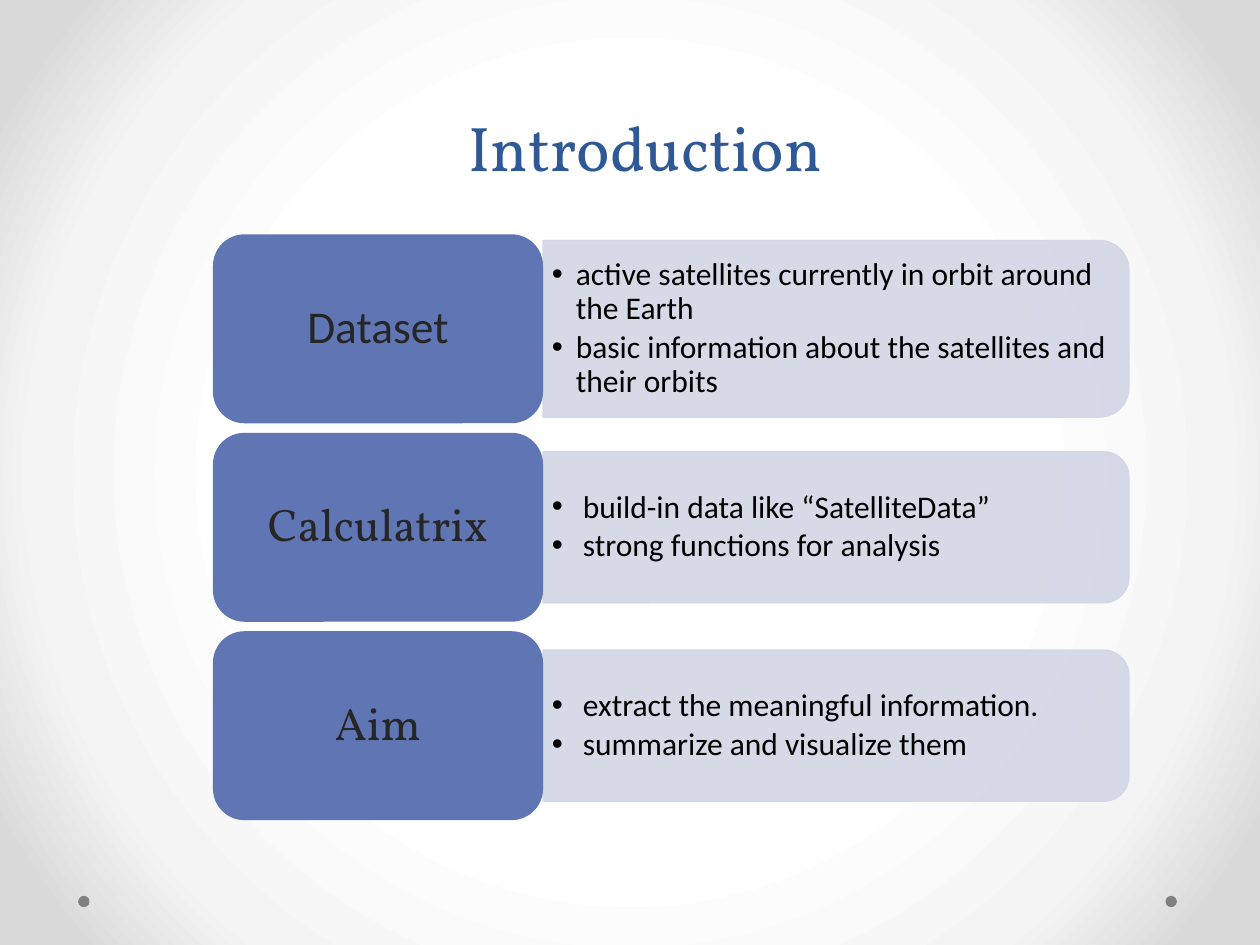
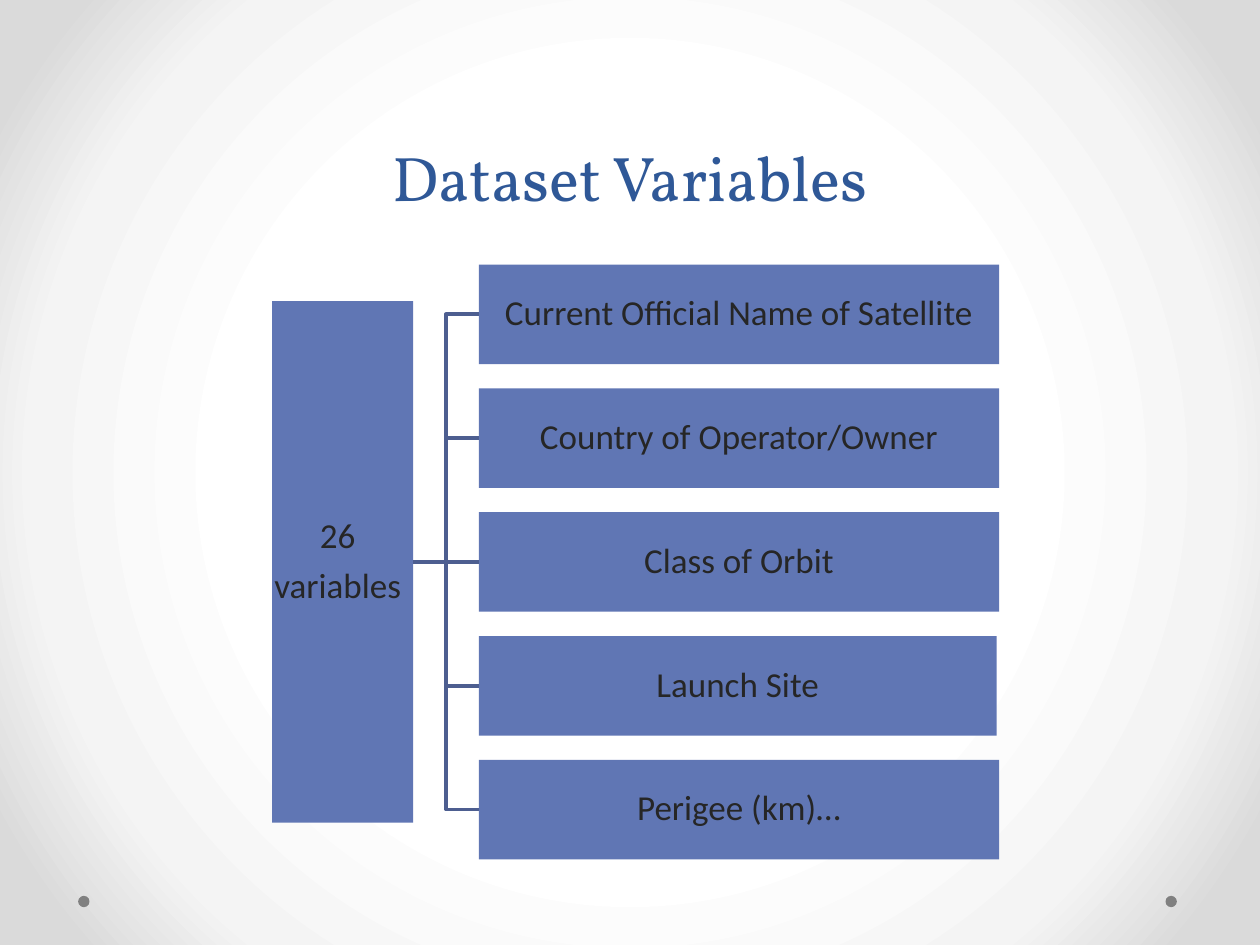
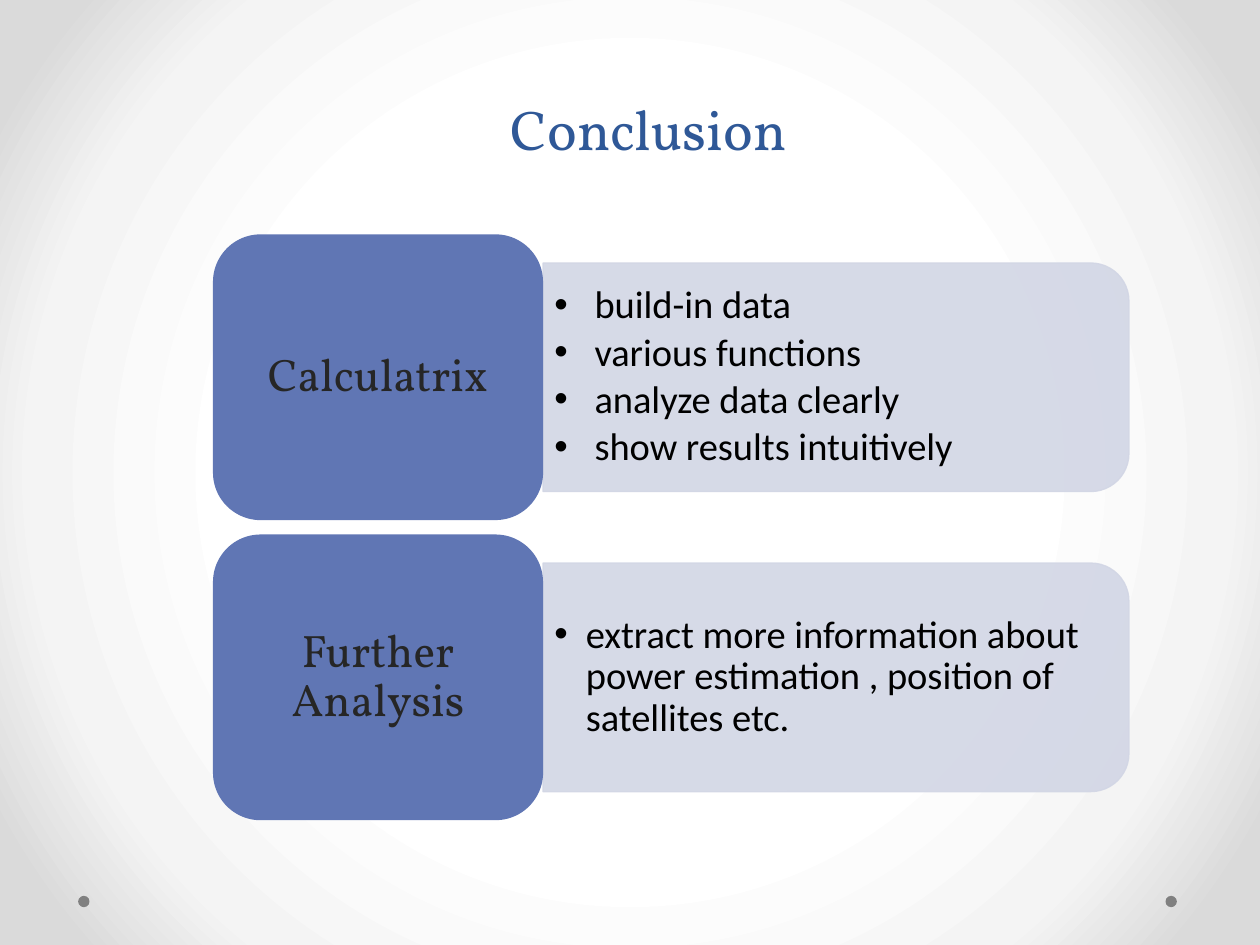
from dataclasses import dataclass

from lxml import etree
from pptx import Presentation
from pptx.dml.color import RGBColor
from pptx.enum.shapes import MSO_CONNECTOR, MSO_SHAPE
from pptx.enum.text import MSO_ANCHOR, PP_ALIGN
from pptx.oxml import parse_xml
from pptx.oxml.ns import nsdecls, qn
from pptx.util import Inches, Pt

RECT = MSO_SHAPE.RECTANGLE
ROUND = MSO_SHAPE.ROUNDED_RECTANGLE
TAB = MSO_SHAPE.ROUND_2_SAME_RECTANGLE
OVAL = MSO_SHAPE.OVAL
STRAIGHT = MSO_CONNECTOR.STRAIGHT
ELBOW = MSO_CONNECTOR.ELBOW
MIDDLE = MSO_ANCHOR.MIDDLE
BOTTOM = MSO_ANCHOR.BOTTOM
CENTER = PP_ALIGN.CENTER
LEFT = PP_ALIGN.LEFT


@dataclass(frozen=True)
class Theme:
    title: str = "2F5897"
    block: str = "6076B4"
    panel: str = "D2D6E5"
    link: str = "4D5E90"
    dot: str = "808080"
    dark: str = "262626"
    black: str = "000000"
    glow: tuple = ((50, "FFFFFF"), (76, "F4F4F4"), (92, "DADADA"))
    serif: str = "Vollkorn"
    sans: str = "Calibri"
    head: int = 36
    label: int = 26
    node: int = 20


T = Theme()
TOP = 1.86
SPAN = 4.65
SIDE = 1.69
EDGE = 4.31
GAP = 0.05
CORNER = 0.0488


def rgb(code):
    return RGBColor.from_string(code)


def place(*box):
    return [Inches(n) for n in box]


def backdrop(master):
    master.background.fill.solid()
    stops = "".join(
        f'<a:gs pos="{pos * 1000}"><a:srgbClr val="{code}"/></a:gs>'
        for pos, code in T.glow)
    grad = parse_xml(
        f'<a:gradFill {nsdecls("a")} rotWithShape="1"><a:gsLst>{stops}</a:gsLst>'
        '<a:path path="circle"><a:fillToRect l="50000" t="50000" r="50000" b="50000"/>'
        '</a:path></a:gradFill>')
    back = master.element.find(".//" + qn("p:bgPr"))
    back.replace(back.find(qn("a:solidFill")), grad)


def bullet(para, indent):
    props = para._p.get_or_add_pPr()
    props.set("marL", str(Inches(indent)))
    props.set("indent", str(-Inches(indent)))
    etree.SubElement(props, qn("a:buFont")).set("typeface", "Arial")
    etree.SubElement(props, qn("a:buChar")).set("char", "•")


def write(shape, text, size=T.label, font=T.sans, color=T.dark, align=CENTER,
          anchor=MIDDLE, inset=(0.11, 0.05, 0.11, 0.05), lead=0.9, after=0.35,
          indent=None):
    frame = shape.text_frame
    frame.word_wrap = True
    frame.vertical_anchor = anchor
    (frame.margin_left, frame.margin_top,
     frame.margin_right, frame.margin_bottom) = place(*inset)
    for i, line in enumerate(text.split("\n")):
        para = frame.add_paragraph() if i else frame.paragraphs[0]
        para.alignment = align
        para.line_spacing = lead
        para.space_after = Pt(round(size * after, 1))
        if indent:
            bullet(para, indent)
        run = para.add_run()
        run.text = line
        run.font.size = Pt(size)
        run.font.name = font
        run.font.color.rgb = rgb(color)


def block(slide, kind, box, fill=T.block):
    shape = slide.shapes.add_shape(kind, *place(*box))
    shape.shadow.inherit = False
    shape.fill.solid()
    shape.fill.fore_color.rgb = rgb(fill)
    shape.line.fill.background()
    return shape


def start(deck, title, box, size=T.head):
    slide = deck.slides.add_slide(deck.slide_layouts[6])
    for left in (9.25, 0.62):
        block(slide, OVAL, (left, 7.11, 0.09, 0.09), T.dot)
    write(slide.shapes.add_textbox(*place(*box)), title, size=size, font=T.serif,
          color=T.title, anchor=BOTTOM, inset=(0.1, 0.05, 0.1, 0.05),
          lead=Pt(58), after=0)
    return slide


def panel(slide, mid, high, text, size, pad, indent):
    wide = SPAN
    shape = block(slide, TAB, (EDGE + (wide - high) / 2, mid - wide / 2, high, wide),
                  T.panel)
    shape.rotation = 90
    shape.line.color.rgb = rgb(T.panel)
    shape.line.width = Pt(0.75)
    for color in shape.element.spPr.iter(qn("a:srgbClr")):
        etree.SubElement(color, qn("a:alpha")).set("val", "90000")
    trim = high * CORNER
    area = (EDGE, mid - high / 2 + trim, wide - trim, high - 2 * trim)
    write(slide.shapes.add_textbox(*place(*area)), text, size=size, color=T.black,
          align=LEFT, inset=pad * 2, after=0.15, indent=indent)


def rows(slide, items, size, pad, indent):
    count = len(items)
    high = SPAN / (count + GAP * (count - 1))
    for i, (label, font, part, text) in enumerate(items):
        top = TOP + i * high * (1 + GAP)
        panel(slide, top + high / 2, high * part, text, size, pad, indent)
        write(block(slide, ROUND, (SIDE, top, EDGE - SIDE, high)), label, font=font)


def link(slide, kind, root, node):
    line = slide.shapes.add_connector(kind, 0, 0, 0, 0)
    line.begin_connect(root, 3)
    line.end_connect(node, 1)
    line.line.color.rgb = rgb(T.link)
    line.line.width = Pt(2.08)
    etree.SubElement(line.element.spPr, qn("a:effectLst"))


def tree(slide, name, nodes):
    root = block(slide, RECT, (2.16, 2.39, 1.12, 4.14))
    write(root, name, size=T.node, inset=(0, 0.01, 0.08, 0.01))
    for i, (text, wide) in enumerate(nodes):
        node = block(slide, RECT, (3.8, 2.1 + i * 3.93 / 4, wide, 0.79))
        write(node, text, size=T.node, inset=(0.01,) * 4)
        link(slide, STRAIGHT if i == len(nodes) // 2 else ELBOW, root, node)


def main():
    deck = Presentation()
    deck.slide_width, deck.slide_height = place(10, 7.5)
    backdrop(deck.slide_master)

    intro = start(deck, "Introduction", (1.14, 0.68, 7.96, 0.83))
    rows(intro, [
        ("Dataset", T.sans, 0.935,
         "active satellites currently in orbit around the Earth\n"
         "basic information about the satellites and their orbits"),
        ("Calculatrix", T.serif, 0.8,
         " build-in data like “SatelliteData”\n strong functions for analysis"),
        ("Aim", T.serif, 0.8,
         " extract the meaningful information.\n summarize and visualize them"),
    ], size=18, pad=(0.07, 0.04), indent=0.19)

    fields = start(deck, "Dataset Variables", (0.5, 0, 9, 1.75))
    tree(fields, "26\nvariables", [
        ("Current Official Name of Satellite", 4.13),
        ("Country of Operator/Owner", 4.13),
        ("Class of Orbit", 4.13),
        ("Launch Site", 4.11),
        ("Perigee (km)…", 4.13),
    ])

    close = start(deck, "Conclusion", (0.65, -0.42, 9, 1.75), size=32)
    rows(close, [
        ("Calculatrix", T.serif, 0.8,
         " build-in data\n various functions\n analyze data clearly\n"
         " show results intuitively"),
        ("Further Analysis", T.serif, 0.8,
         "extract more information about power estimation , "
         "position of satellites etc."),
    ], size=22, pad=(0.09, 0.05), indent=0.25)

    deck.save("out.pptx")


if __name__ == "__main__":
    main()
